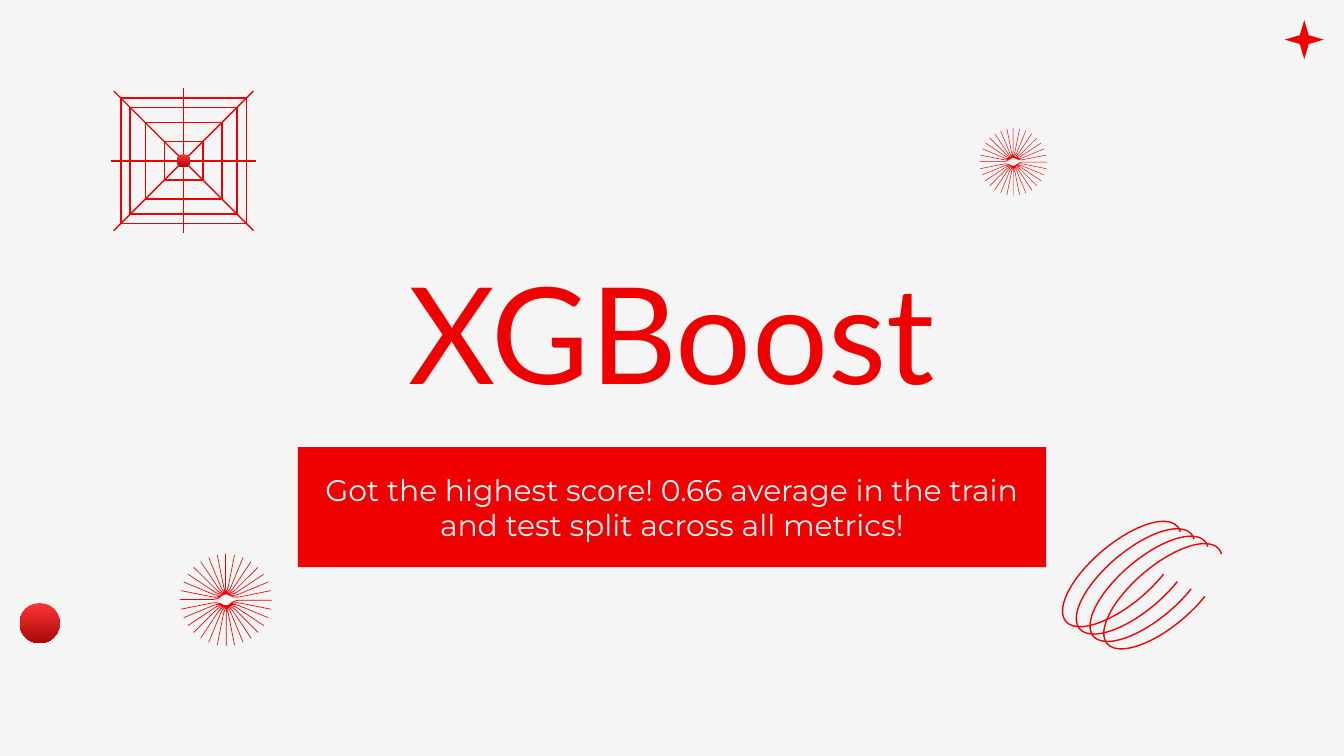
from math import cos, radians, sin

from lxml.etree import SubElement as Sub
from pptx import Presentation
from pptx.dml.color import RGBColor
from pptx.enum.shapes import MSO_CONNECTOR as Conn, MSO_SHAPE as Kind
from pptx.enum.text import MSO_ANCHOR as Anchor, MSO_AUTO_SIZE as Fit, PP_ALIGN as Align
from pptx.oxml.ns import qn
from pptx.util import Cm, Pt

RED = "F00101"
PALE = "F5F5F5"


def tint(code):
    """Turn a hex string into a colour."""
    return RGBColor.from_string(code)


def paint(item, fill=None, line=None):
    """Set a flat fill and a thin outline, or leave either one off."""
    if fill:
        item.fill.solid()
        item.fill.fore_color.rgb = tint(fill)
    else:
        item.fill.background()
    if line:
        item.line.color.rgb = tint(line)
        item.line.width = Pt(0.75)
    else:
        item.line.fill.background()


def write(item, text, box, font, size, color):
    """Place a text holder and fill it with one centred paragraph."""
    item.left, item.top, item.width, item.height = map(Cm, box)
    frame = item.text_frame
    frame.word_wrap = True
    frame.auto_size = Fit.NONE
    frame.vertical_anchor = Anchor.MIDDLE
    frame.margin_left = frame.margin_right = Cm(0.25)
    frame.margin_top = frame.margin_bottom = Cm(0.25)
    para = frame.paragraphs[0]
    para.alignment = Align.CENTER
    para.line_spacing = 1.0
    para.space_before = Pt(0)
    run = para.add_run()
    run.text = text
    run.font.name = font
    run.font.size = Pt(size)
    run.font.bold = False
    run.font.color.rgb = tint(color)


def shape(shapes, kind, x, y, w, h, **look):
    """Add a preset shape centred on a point."""
    item = shapes.add_shape(kind, Cm(x - w / 2), Cm(y - h / 2), Cm(w), Cm(h))
    item.shadow.inherit = False
    paint(item, **look)
    return item


def ball(shapes, x, y, size):
    """Add a disc shaded from light to dark red."""
    item = shape(shapes, Kind.OVAL, x, y, size, size)
    item.fill.gradient()
    item.fill.gradient_angle = 270
    for stop, code in zip(item.fill.gradient_stops, ("FE3535", "A90707")):
        stop.color.rgb = tint(code)


def spoke(shapes, x, y, start, end):
    """Add a thin line between two offsets from a centre."""
    ends = [Cm(v) for dx, dy in (start, end) for v in (x + dx, y + dy)]
    item = shapes.add_connector(Conn.STRAIGHT, *ends)
    item.line.color.rgb = tint(RED)
    item.line.width = Pt(0.75)
    Sub(item._element.spPr, qn("a:effectLst"))


def outline(shapes, points):
    """Add a closed red figure through the points."""
    first, *rest = [(Cm(x), Cm(y)) for x, y in points]
    pen = shapes.build_freeform(*first)
    pen.add_line_segments(rest, close=True)
    item = pen.convert_to_shape()
    item.shadow.inherit = False
    paint(item, fill=RED)


def polar(x, y, size, turn):
    """Find the point at a distance and an angle from a centre."""
    return x + size * cos(radians(turn)), y + size * sin(radians(turn))


def bend(a, b, c, d, steps=8):
    """List points along a cubic curve."""
    ts = [n / steps for n in range(steps + 1)]
    return [tuple((1 - t) ** 3 * p + 3 * t * (1 - t) ** 2 * q
                  + 3 * t * t * (1 - t) * r + t ** 3 * s
                  for p, q, r, s in zip(a, b, c, d)) for t in ts]


def burst(shapes, x, y, size):
    """Add a ring of thin ribbons, each joining two rays at a right angle."""
    group = shapes.add_group_shape().shapes
    for turn in [half + n * 11.25 for half in (0, 180) for n in range(8)]:
        near, far = turn, turn + 90
        curve = bend(*(polar(x, y, size * k, a) for k, a in
                       ((0.3, near), (0.13, near), (0.13, far), (0.3, far))))
        edge = [polar(x, y, size, near), *curve, polar(x, y, size, far)]
        inner = [polar(*point, size * 0.02, turn + 45) for point in edge]
        outline(group, edge + inner[::-1])


def star(shapes, x, y, size):
    """Add a slim star with four points."""
    outline(shapes, [polar(x, y, size * (0.32 if n % 2 else 1), n * 45)
                     for n in range(8)])


def web(shapes, x, y):
    """Add nested squares crossed by eight spokes from a central ball."""
    group = shapes.add_group_shape().shapes
    for size in (2.37, 2.02, 1.45, 0.73):
        shape(group, Kind.RECTANGLE, x, y, size, size, line=RED)
    ball(group, x, y, 0.25)
    for dx in (-1, 0, 1):
        for dy in (-1, 0, 1):
            if dx or dy:
                near, far = (0.09, 1.32) if dx and dy else (0.13, 1.37)
                spoke(group, x, y, (dx * near, dy * near), (dx * far, dy * far))


def coil(shapes, x, y):
    """Add four tilted open loops in a row."""
    group = shapes.add_group_shape().shapes
    for n in range(4):
        item = shape(group, Kind.ARC, x + n * 0.26, y + n * 0.14,
                     2.77, 1.14, line=RED)
        item.adjustments[0] = 24.27
        item.adjustments[1] = 2.71
        item.rotation = 319.7


def main():
    """Build the slide and save it."""
    deck = Presentation()
    deck.slide_width, deck.slide_height = Cm(25.4), Cm(14.29)
    slide = deck.slides.add_slide(deck.slide_layouts[0])
    slide.background.fill.solid()
    slide.background.fill.fore_color.rgb = tint(PALE)
    shapes = slide.shapes
    title, note = slide.placeholders
    write(title, "XGBoost", (4.06, 4.8, 17.27, 2.92),
          font="Lato", size=72, color=RED)
    write(note, "Got the highest score! 0.66 average in the train "
          "and test split across all metrics!", (5.63, 8.45, 14.14, 2.27),
          font="Montserrat", size=16, color=PALE)
    paint(note, fill=RED)
    ball(shapes, 0.75, 11.78, 0.76)
    star(shapes, 24.65, 0.75, 0.37)
    web(shapes, 3.47, 3.04)
    coil(shapes, 21.2, 10.85)
    burst(shapes, 4.27, 11.34, 0.86)
    burst(shapes, 19.15, 3.06, 0.63)
    deck.save("out.pptx")


if __name__ == "__main__":
    main()
